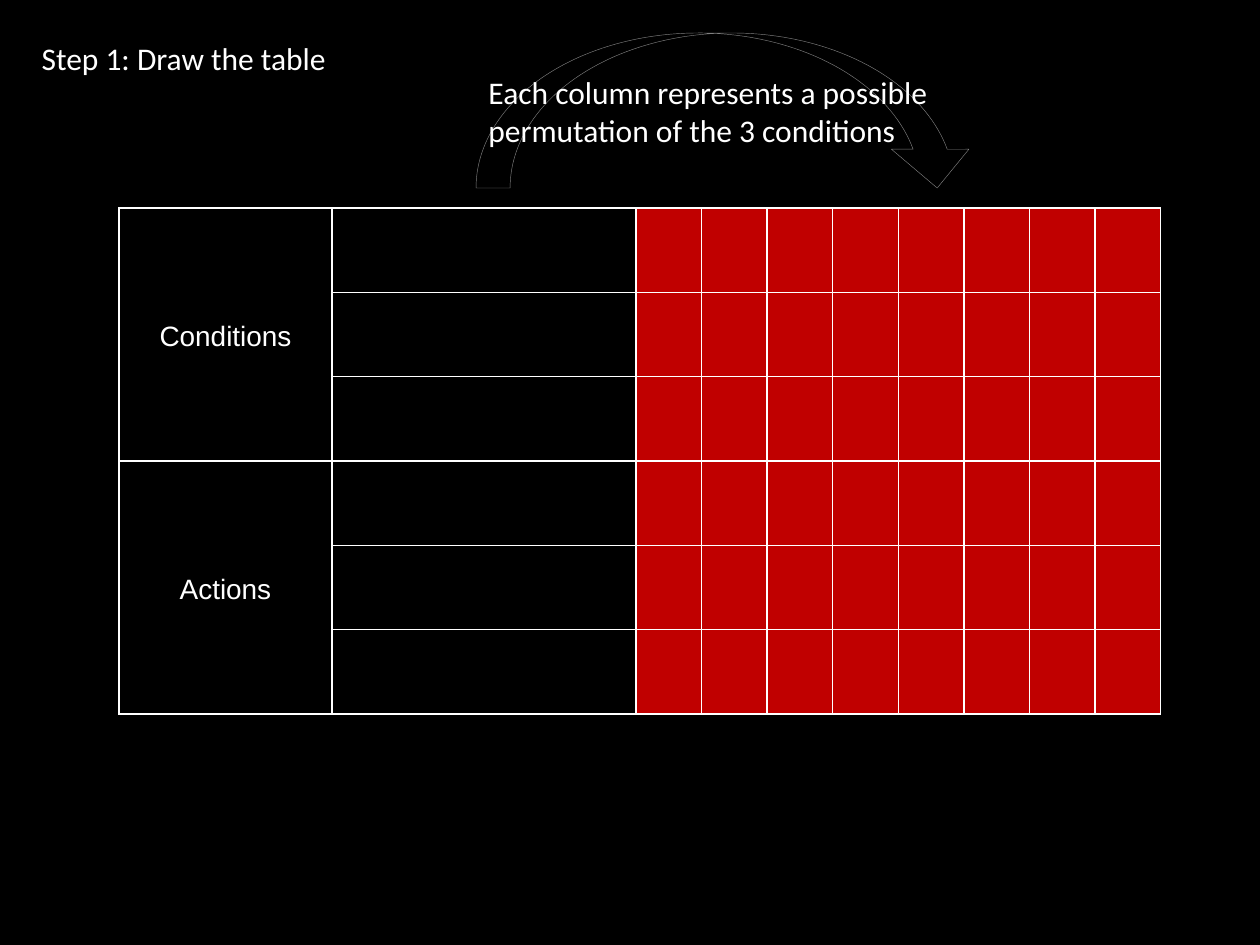
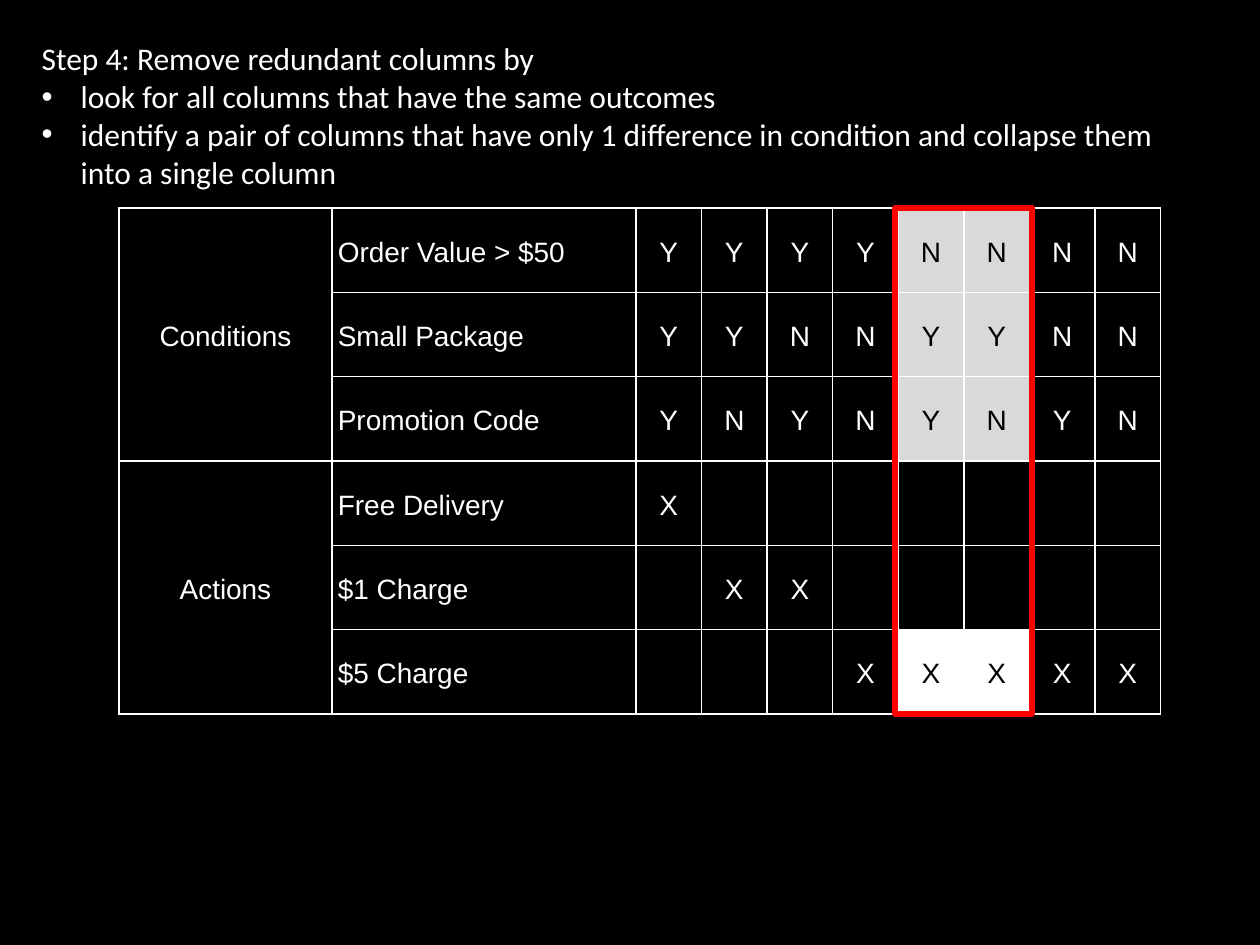
"""Build two slides that explain how to draw and reduce a decision table."""
from dataclasses import dataclass

from lxml.etree import SubElement
from pptx import Presentation
from pptx.dml.color import RGBColor as Color
from pptx.enum.shapes import MSO_SHAPE as Shape
from pptx.enum.text import MSO_ANCHOR as Anchor, MSO_AUTO_SIZE as AutoSize, PP_ALIGN as Align
from pptx.oxml.ns import qn
from pptx.util import Pt

PIXEL = 914400 / 126


@dataclass(frozen=True)
class Theme:
    black: Color = Color(0x00, 0x00, 0x00)
    white: Color = Color(0xFF, 0xFF, 0xFF)
    dark_red: Color = Color(0xC0, 0x00, 0x00)
    bright_red: Color = Color(0xFF, 0x00, 0x00)
    light_gray: Color = Color(0xD9, 0xD9, 0xD9)
    gray: Color = Color(0x80, 0x80, 0x80)
    text_font: str = "Calibri"
    table_font: str = "Arial"
    text_size: int = 18
    table_size: int = 16


theme = Theme()


def pixels(*lengths):
    return [round(length * PIXEL) for length in lengths]


def write(frame, lines, font=theme.text_font, size=theme.text_size, color=theme.white,
          align=Align.LEFT, anchor=Anchor.TOP, spacing=1.0):
    frame.vertical_anchor = anchor
    for index, line in enumerate(lines):
        paragraph = frame.add_paragraph() if index else frame.paragraphs[0]
        paragraph.alignment = align
        paragraph.line_spacing = spacing
        paragraph.space_before = Pt(0)
        run = paragraph.add_run()
        run.text = line
        run.font.name = font
        run.font.size = Pt(size)
        run.font.color.rgb = color


TABLE_LEFT, TABLE_TOP, TABLE_WIDTH, TABLE_HEIGHT = 119, 208, 1042, 506
GROUP_WIDTH, LABEL_WIDTH = 213, 304
RULE_COUNT, ROW_COUNT, GROUP_ROWS = 8, 6, 3
GROUPS = ["Conditions", "Actions"]
LABELS = ["Order Value > $50", "Small Package", "Promotion Code",
          "Free Delivery", "$1 Charge", "$5 Charge"]
MARKS = ["YYYYNNNN", "YYNNYYNN", "YNYNYNYN", "X       ", " XX     ", "   XXXXX"]
PAIR = (4, 5)

all_rules = [(row, rule) for row in range(ROW_COUNT) for rule in range(RULE_COUNT)]
steps = [
    {"layout": 5, "title": "Step 1: Draw the table", "title_width": 318, "bullets": [],
     "labels": [""] * ROW_COUNT, "marks": [" " * RULE_COUNT] * ROW_COUNT,
     "fills": {position: theme.dark_red for position in all_rules}},
    {"layout": 1, "title": "Step 4: Remove redundant columns by", "title_width": 1174,
     "bullets": ["look for all columns that have the same outcomes",
                 "identify a pair of columns that have only 1 difference in condition "
                 "and collapse them into a single column"],
     "labels": LABELS, "marks": MARKS,
     "fills": {(row, rule): theme.light_gray if row < GROUP_ROWS else theme.white
               for row, rule in all_rules
               if rule in PAIR and (row < GROUP_ROWS or row == ROW_COUNT - 1)}},
]

presentation = Presentation()
presentation.slide_width, presentation.slide_height = pixels(1260, 945)
background = presentation.slide_master.background.fill
background.solid()
background.fore_color.rgb = theme.black

slides = []
for step in steps:
    slide = presentation.slides.add_slide(presentation.slide_layouts[step["layout"]])
    slides.append(slide)
    title = slide.shapes.title
    title.left, title.top, title.width, title.height = pixels(29, 33, step["title_width"], 50)
    title.text_frame.auto_size = AutoSize.NONE
    write(title.text_frame, [step["title"]])

    if step["bullets"]:
        body = slide.placeholders[1]
        body.left, body.top, body.width, body.height = pixels(29, 71, 1174, 127)
        body.text_frame.auto_size = AutoSize.NONE
        write(body.text_frame, step["bullets"])
        indent, = pixels(39)
        for paragraph in body.text_frame.paragraphs:
            properties = paragraph._p.get_or_add_pPr()
            properties.set("marL", str(indent))
            properties.set("indent", str(-indent))

    table = slide.shapes.add_table(
        ROW_COUNT, RULE_COUNT + 2,
        *pixels(TABLE_LEFT, TABLE_TOP, TABLE_WIDTH, TABLE_HEIGHT)).table
    table.first_row = table.horz_banding = False
    rule_width = (TABLE_WIDTH - GROUP_WIDTH - LABEL_WIDTH) / RULE_COUNT
    widths = pixels(GROUP_WIDTH, LABEL_WIDTH, *[rule_width] * RULE_COUNT)
    for column, width in zip(table.columns, widths):
        column.width = width
    for row in table.rows:
        row.height, = pixels(TABLE_HEIGHT / ROW_COUNT)

    for row in range(ROW_COUNT):
        group = GROUPS[row // GROUP_ROWS] if row % GROUP_ROWS == 0 else ""
        texts = [group, step["labels"][row], *step["marks"][row]]
        for column, text in enumerate(texts):
            cell = table.cell(row, column)
            cell.margin_left, cell.margin_right, cell.margin_top, cell.margin_bottom = pixels(6, 6, 6, 6)
            for side in ("lnL", "lnR", "lnT", "lnB"):
                border = SubElement(cell._tc.get_or_add_tcPr(), qn(f"a:{side}"), w=str(Pt(1)))
                border_fill = SubElement(border, qn("a:solidFill"))
                SubElement(border_fill, qn("a:srgbClr"), val=str(theme.white))
            fill = step["fills"].get((row, column - 2))
            if fill is None:
                cell.fill.background()
            else:
                cell.fill.solid()
                cell.fill.fore_color.rgb = fill
            if text.strip():
                write(cell.text_frame, [text], theme.table_font, theme.table_size,
                      theme.white if fill is None else theme.black,
                      Align.LEFT if column == 1 else Align.CENTER, spacing=1.15)
                cell.vertical_anchor = Anchor.MIDDLE
    for first_row in range(0, ROW_COUNT, GROUP_ROWS):
        table.cell(first_row, 0).merge(table.cell(first_row + GROUP_ROWS - 1, 0))

draw_slide, reduce_slide = slides

arrow = draw_slide.shapes.add_shape(Shape.CURVED_DOWN_ARROW, *pixels(476, 33, 500, 155))
arrow.shadow.inherit = False
for index, adjustment in enumerate((0.22, 0.5, 0.25)):
    arrow.adjustments[index] = adjustment
arrow.fill.solid()
arrow.fill.fore_color.rgb = theme.black
arrow.line.color.rgb = theme.gray
arrow.line.width = Pt(0.25)
write(arrow.text_frame, ["Each column represents a possible", "permutation of the 3 conditions"],
      anchor=Anchor.MIDDLE)

pair_frame = reduce_slide.shapes.add_shape(
    Shape.RECTANGLE, *pixels(895, TABLE_TOP, 137, TABLE_HEIGHT))
pair_frame.shadow.inherit = False
pair_frame.fill.background()
pair_frame.line.color.rgb = theme.bright_red
pair_frame.line.width = Pt(3)

presentation.save("out.pptx")
